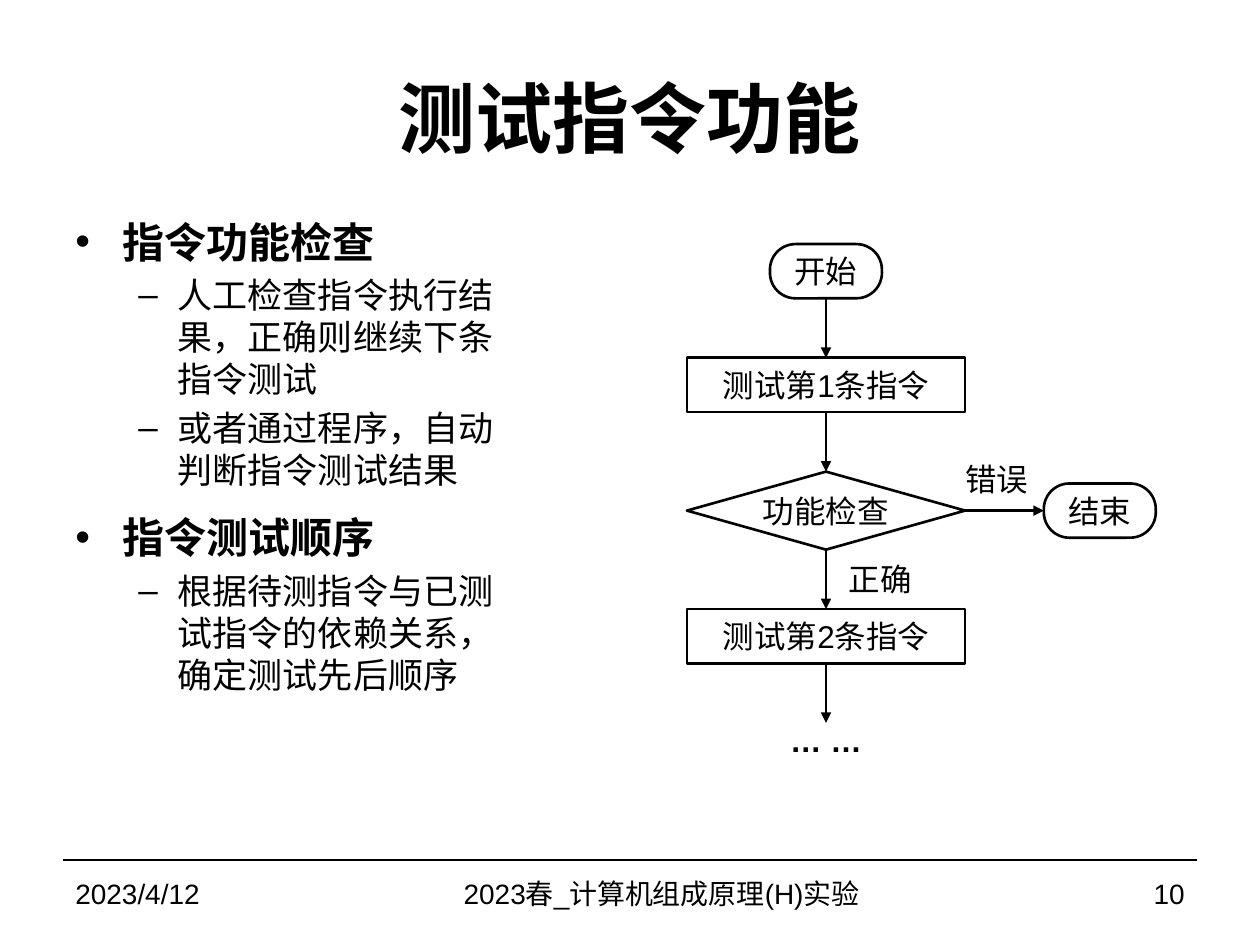
from pptx import Presentation
from pptx.dml.color import RGBColor
from pptx.enum.shapes import MSO_CONNECTOR, MSO_SHAPE
from pptx.enum.text import MSO_ANCHOR, PP_ALIGN
from pptx.oxml.ns import qn
from pptx.util import Pt
from lxml.etree import SubElement

BLACK = RGBColor(0, 0, 0)
TOP, BOTTOM, LEFT, RIGHT = 0, 2, 1, 3
PROCESS_SIZE = (159, 31)
DECISION_SIZE = (159, 44.6)
TERMINAL_SIZE = (64, 31)
LABEL_SIZE = (44, 31)
ARROW_LENGTH = 34

# level: (left margin, hanging indent, bullet, size, bold)
LEVELS = [(27, 27, "•", 24, True), (58.5, 22.5, "–", 20, False)]
POINTS = [
    (0, 0, "指令功能检查"),
    (1, 4, "人工检查指令执行结果，正确则继续下条指令测试"),
    (1, 4, "或者通过程序，自动判断指令测试结果"),
    (0, 12, "指令测试顺序"),
    (1, 4, "根据待测指令与已测试指令的依赖关系，确定测试先后顺序"),
]


def style_font(font, size, bold=False, name="Arial"):
    font.name, font.size, font.bold = name, Pt(size), bold
    font.color.rgb = BLACK


def add_text(page, area, text, size, align, bold=False):
    box = page.shapes.add_textbox(*map(Pt, area))
    frame = box.text_frame
    frame.word_wrap = True
    frame.vertical_anchor = MSO_ANCHOR.MIDDLE
    frame.text = text
    para = frame.paragraphs[0]
    para.alignment = align
    style_font(para.runs[0].font, size, bold)
    return box


def remove_insets(frame):
    frame.margin_left = frame.margin_right = 0
    frame.margin_top = frame.margin_bottom = 0
    frame.word_wrap = False


def add_bullets(page, area):
    box = page.shapes.add_textbox(*map(Pt, area))
    frame = box.text_frame
    frame.word_wrap = True
    for index, (level, space, text) in enumerate(POINTS):
        margin, hanging, bullet, size, bold = LEVELS[level]
        para = frame.add_paragraph() if index else frame.paragraphs[0]
        para.text = text
        para.level = level
        para.space_before = Pt(space)
        properties = para._p.get_or_add_pPr()
        properties.set("marL", str(Pt(margin)))
        properties.set("indent", str(-Pt(hanging)))
        SubElement(properties, qn("a:buFont")).set("typeface", "Arial")
        SubElement(properties, qn("a:buChar")).set("char", bullet)
        style_font(para.runs[0].font, size, bold, "Times New Roman")


def add_node(page, kind, center_x, top, size, text):
    width, height = size
    node = page.shapes.add_shape(
        kind, Pt(center_x - width / 2), Pt(top), Pt(width), Pt(height))
    node.shadow.inherit = False
    node.fill.background()
    node.line.color.rgb = BLACK
    node.line.width = Pt(1.5)
    if kind == MSO_SHAPE.ROUNDED_RECTANGLE:
        node.adjustments[0] = 0.47
    frame = node.text_frame
    remove_insets(frame)
    frame.vertical_anchor = MSO_ANCHOR.MIDDLE
    frame.text = text
    para = frame.paragraphs[0]
    para.alignment = PP_ALIGN.CENTER
    style_font(para.runs[0].font, 18)
    return node


def add_line(page, start, end, width):
    line = page.shapes.add_connector(
        MSO_CONNECTOR.STRAIGHT, *map(Pt, (*start, *end)))
    line.line.color.rgb = BLACK
    line.line.width = Pt(width)
    SubElement(line._element.spPr, qn("a:effectLst"))
    return line


def add_arrow(page, start, end):
    arrow = add_line(page, start, end, 1.5)
    SubElement(arrow.line._get_or_add_ln(), qn("a:tailEnd")).set("type", "triangle")
    return arrow


def add_label(page, left, top, size, text, bold=False):
    label = add_text(page, (left, top, *size), text, 18, PP_ALIGN.CENTER, bold)
    remove_insets(label.text_frame)


def add_flowchart(page, left, top):
    """Stack the steps on one axis, with an exit to the right of the decision."""
    axis = left + PROCESS_SIZE[0] / 2
    steps = [
        (MSO_SHAPE.ROUNDED_RECTANGLE, TERMINAL_SIZE, "开始"),
        (MSO_SHAPE.RECTANGLE, PROCESS_SIZE, "测试第1条指令"),
        (MSO_SHAPE.DIAMOND, DECISION_SIZE, "功能检查"),
        (MSO_SHAPE.RECTANGLE, PROCESS_SIZE, "测试第2条指令"),
    ]
    nodes, tops, y = [], [], top
    for kind, size, text in steps:
        node = add_node(page, kind, axis, y, size, text)
        if nodes:
            arrow = add_arrow(page, (axis, y - ARROW_LENGTH), (axis, y))
            arrow.begin_connect(nodes[-1], BOTTOM)
            arrow.end_connect(node, TOP)
        nodes.append(node)
        tops.append(y)
        y += size[1] + ARROW_LENGTH
    last_arrow = add_arrow(page, (axis, y - ARROW_LENGTH), (axis, y))
    last_arrow.begin_connect(nodes[-1], BOTTOM)
    add_label(page, axis - 21, y - 1, (42, 22), "… …", True)

    decision, decision_top = nodes[2], tops[2]
    middle = decision_top + DECISION_SIZE[1] / 2
    right = left + DECISION_SIZE[0]
    finish = add_node(page, MSO_SHAPE.ROUNDED_RECTANGLE, right + 77,
                      middle - TERMINAL_SIZE[1] / 2, TERMINAL_SIZE, "结束")
    failure = add_arrow(page, (right, middle), (right + 45, middle))
    failure.begin_connect(decision, RIGHT)
    failure.end_connect(finish, LEFT)
    add_label(page, right - 4, decision_top - 11.5, LABEL_SIZE, "错误")
    add_label(page, axis + 9, decision_top + DECISION_SIZE[1] + 1, LABEL_SIZE, "正确")


def add_footer(page, left, top, width):
    add_line(page, (left, top), (left + width, top), 0.75)
    parts = [
        (168, "2023/4/12", PP_ALIGN.LEFT),
        (348, "2023春_计算机组成原理(H)实验", PP_ALIGN.CENTER),
        (132, "10", PP_ALIGN.RIGHT),
    ]
    for part_width, text, align in parts:
        add_text(page, (left, top, part_width, 37.5), text, 16, align)
        left += part_width


def main():
    deck = Presentation()
    deck.slide_width, deck.slide_height = Pt(720), Pt(540)
    page = deck.slides.add_slide(deck.slide_layouts[6])
    add_text(page, (36, 21.6, 648, 90), "测试指令功能", 44, PP_ALIGN.CENTER, True)
    add_bullets(page, (36, 120, 267, 362))
    add_flowchart(page, 392.5, 139.5)
    add_footer(page, 36, 491.5, 648)
    deck.save("out.pptx")


if __name__ == "__main__":
    main()
